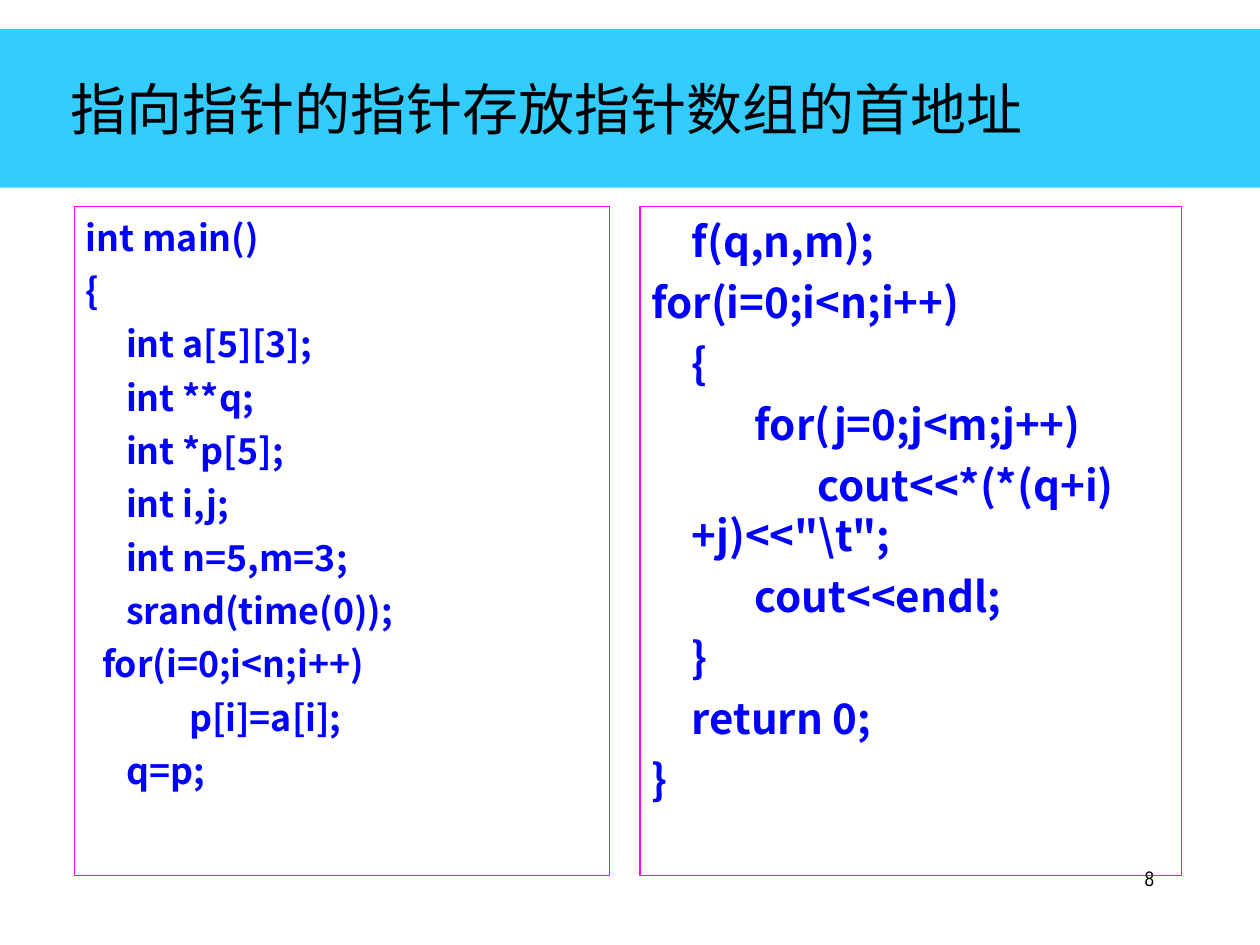
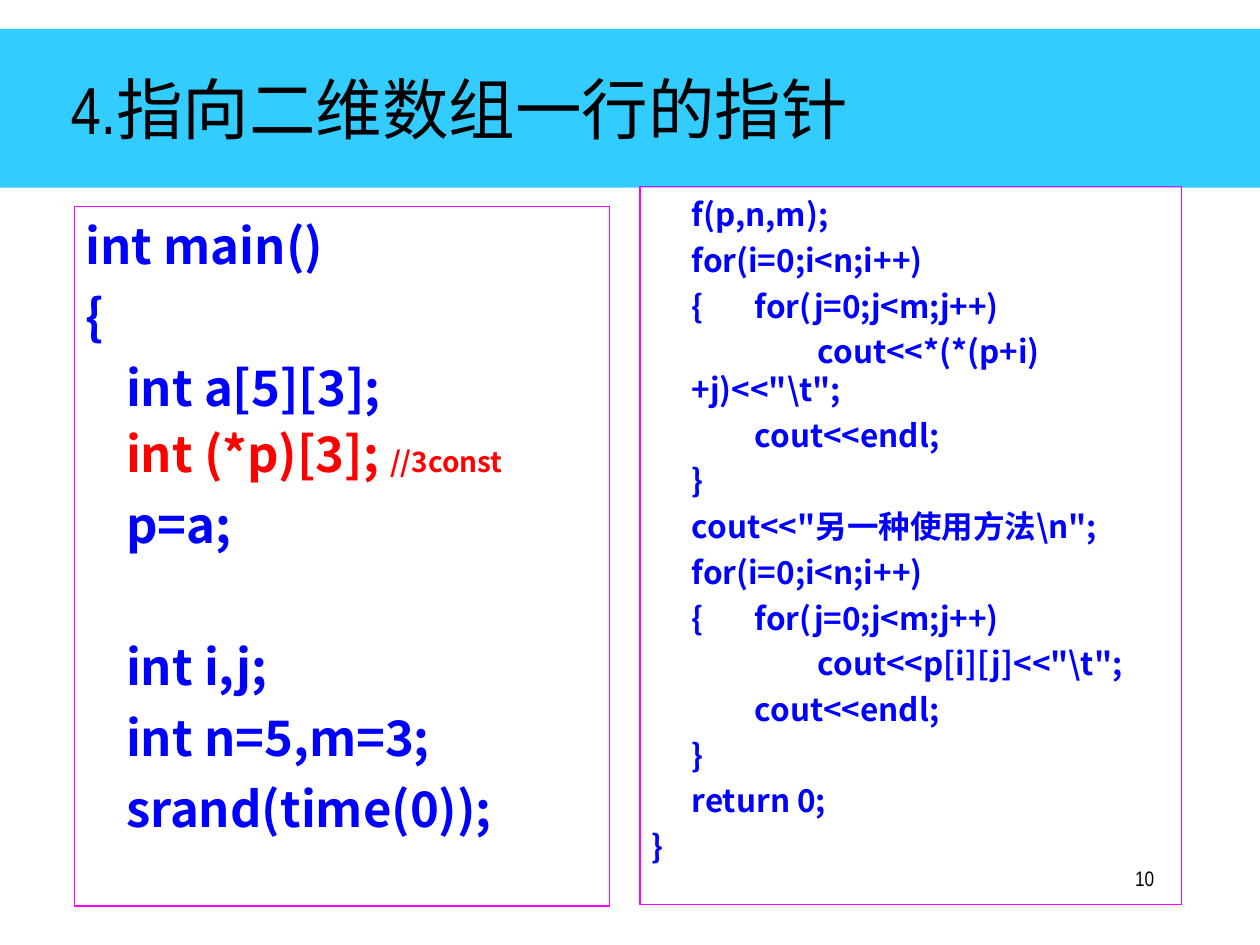
from pptx import Presentation
from pptx.dml.color import RGBColor
from pptx.enum.shapes import MSO_SHAPE
from pptx.enum.text import MSO_ANCHOR, PP_ALIGN
from pptx.util import Inches, Pt

RECT = MSO_SHAPE.RECTANGLE
MIDDLE, TOP = MSO_ANCHOR.MIDDLE, MSO_ANCHOR.TOP
LEFT, RIGHT = PP_ALIGN.LEFT, PP_ALIGN.RIGHT

SKY = RGBColor(0x33, 0xCC, 0xFF)
PINK = RGBColor(0xFF, 0x00, 0xFF)
BLUE = RGBColor(0x00, 0x00, 0xFF)
RED = RGBColor(0xFF, 0x00, 0x00)
BLACK = RGBColor(0x00, 0x00, 0x00)

NARROW, SANS = "Arial Narrow", "Noto Sans CJK SC"
HANG = 0.32
COLS = ((0.59, 4.25), (5.08, 4.3))


class Deck:
    """Hold the style and the current slide, and draw each kind of element."""

    def __init__(self):
        self.show = Presentation()
        self.show.slide_width, self.show.slide_height = Inches(10), Inches(7.5)
        self.slide = None

    def frame(self, spot, anchor=TOP, top=0.04):
        box = self.slide.shapes.add_textbox(*map(Inches, spot))
        form = {"word_wrap": True, "vertical_anchor": anchor,
                "margin_left": Inches(0.09), "margin_right": Inches(0.09),
                "margin_top": Inches(top), "margin_bottom": Inches(0.04)}
        for key, value in form.items():
            setattr(box.text_frame, key, value)
        return box

    def run(self, para, text, size, color, face, bold=False):
        run = para.add_run()
        run.text = text
        for key, value in {"size": Pt(size), "name": face, "bold": bold}.items():
            setattr(run.font, key, value)
        run.font.color.rgb = color
        east = run.font._element.makeelement(
            "{http://schemas.openxmlformats.org/drawingml/2006/main}ea",
            {"typeface": SANS})
        run.font._element.append(east)

    def label(self, spot, text, size, anchor=TOP, align=LEFT):
        para = self.frame(spot, anchor).text_frame.paragraphs[0]
        para.alignment = align
        self.run(para, text, size, BLACK, NARROW)

    def page(self, title, size):
        self.slide = self.show.slides.add_slide(self.show.slide_layouts[6])
        band = self.slide.shapes.add_shape(
            RECT, *map(Inches, (0, 0.23, 10, 1.26)))
        band.shadow.inherit = False
        band.fill.solid()
        band.fill.fore_color.rgb = SKY
        band.line.fill.background()
        self.label((0.47, 0.23, 8.5, 1.25), title, size, MIDDLE)

    def code(self, col, top, height, size, gap, lines):
        left, width = COLS[col]
        box = self.frame((left, top, width, height), top=0.07)
        box.line.color.rgb = PINK
        box.line.width = Pt(0.75)
        text = box.text_frame
        for i, line in enumerate(lines):
            if isinstance(line, str):
                line = {"runs": [(line, size, BLUE)]}
            para = text.add_paragraph() if i else text.paragraphs[0]
            para.space_before = Pt(line.get("gap", gap) if i else 0)
            para.line_spacing = Pt(1.2 * size)
            props = para._p.get_or_add_pPr()
            props.set("marL", str(Inches(HANG)))
            props.set("indent", str(Inches(line.get("start", 0) - HANG)))
            for words, points, color in line["runs"]:
                self.run(para, words, points, color, SANS, True)

    def number(self, value):
        self.label((7.17, 6.83, 2.08, 0.5), str(value), 12, align=RIGHT)


def main():
    deck = Deck()

    deck.page("指向指针的指针存放指针数组的首地址", 32)
    deck.code(0, 1.64, 5.31, 20.4, 6, [
        "int main()",
        "{",
        "\tint a[5][3];",
        "\tint **q;",
        "\tint *p[5];",
        "\tint i,j;",
        "\tint n=5,m=3;",
        "\tsrand(time(0));",
        {"runs": [("for(i=0;i<n;i++)", 20.4, BLUE)], "start": 0.13},
        "\t\tp[i]=a[i];",
        "\tq=p;",
    ])
    deck.code(1, 1.64, 5.31, 24, 6, [
        "\tf(q,n,m);",
        "for(i=0;i<n;i++)",
        "\t{",
        "\t\tfor(j=0;j<m;j++)",
        "\t\t\tcout<<*(*(q+i)+j)<<\"\\t\";",
        "\t\tcout<<endl;",
        "\t}",
        "\treturn 0;",
        "}",
    ])
    deck.number(8)

    deck.page("4.指向二维数组一行的指针", 38)
    deck.code(0, 1.64, 5.55, 28, 7, [
        "int main()",
        "{",
        "\tint a[5][3];",
        {"runs": [("\tint (*p)[3]; ", 28, RED), ("//3const", 16, RED)],
         "gap": 4},
        "\tp=a;",
        {"runs": [("\tint i,j;", 28, BLUE)], "gap": 47.6},
        "\tint n=5,m=3;",
        "\tsrand(time(0));",
    ])

    def loop(cell):
        return [
            "\tfor(i=0;i<n;i++)",
            "\t{\tfor(j=0;j<m;j++)",
            f"\t\t\tcout<<{cell}<<\"\\t\";",
            "\t\tcout<<endl;",
            "\t}",
        ]

    deck.code(1, 1.48, 5.7, 18, 4.5, [
        "\tf(p,n,m);",
        *loop("*(*(p+i)+j)"),
        "\tcout<<\"另一种使用方法\\n\";",
        *loop("p[i][j]"),
        "\treturn 0;",
        "}",
    ])
    deck.number(10)

    deck.show.save("out.pptx")


if __name__ == "__main__":
    main()
